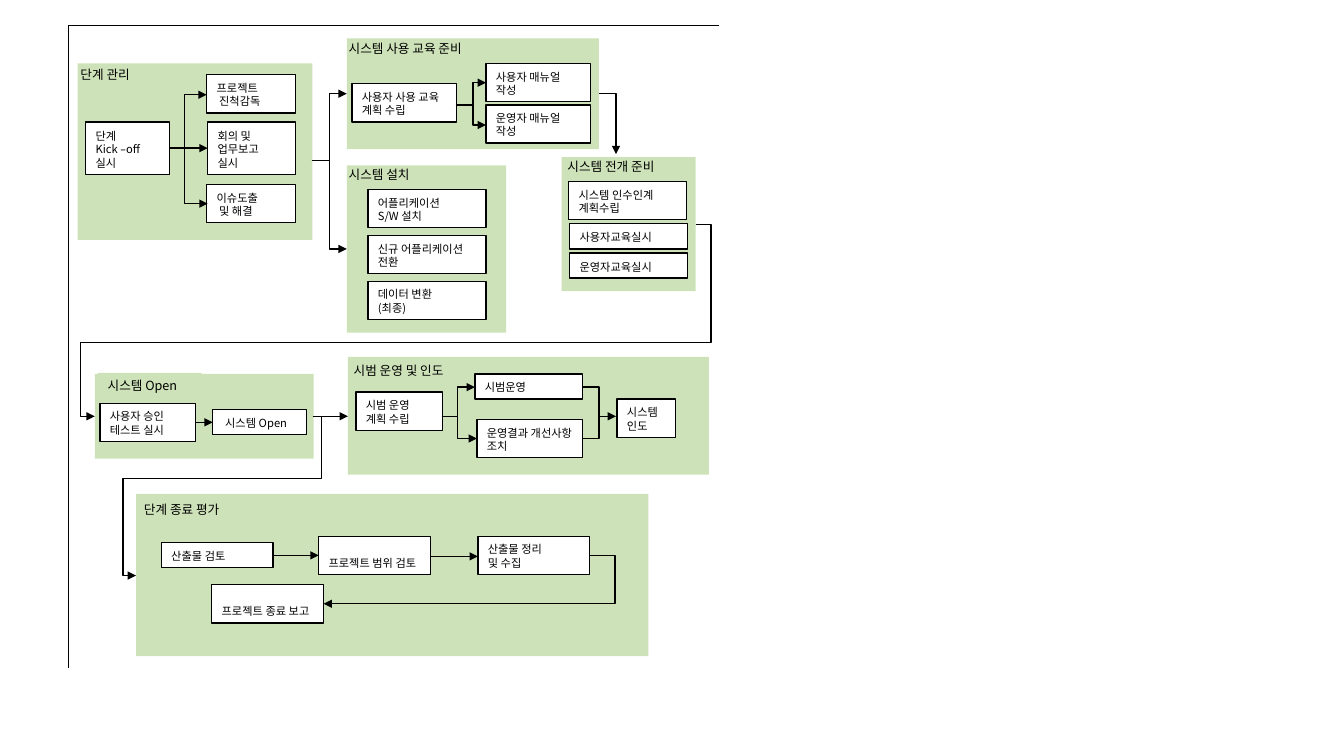
from dataclasses import dataclass
from typing import NamedTuple

from lxml.etree import SubElement
from pptx import Presentation
from pptx.dml.color import RGBColor
from pptx.enum.shapes import MSO_CONNECTOR, MSO_SHAPE
from pptx.enum.text import MSO_ANCHOR, MSO_AUTO_SIZE, PP_ALIGN
from pptx.oxml.ns import qn
from pptx.slide import Slide
from pptx.text.text import TextFrame
from pptx.util import Inches, Pt


@dataclass(frozen=True)
class Theme:
    panel: RGBColor = RGBColor(0xCD, 0xE2, 0xB8)
    box: RGBColor = RGBColor(0xFF, 0xFF, 0xFF)
    ink: RGBColor = RGBColor(0x00, 0x00, 0x00)
    font: str = "Noto Sans CJK KR"
    dash_font: str = "DejaVu Sans"
    title_size: float = 9
    box_size: float = 8
    line_width: float = 1
    frame_width: float = 0.75


THEME = Theme()
DASH = "–"
ONE_LINE, TWO_LINES, THREE_LINES = 0.25, 0.38, 0.52


class Area(NamedTuple):
    left: float
    top: float
    width: float
    height: float


class Box(NamedTuple):
    text: str
    left: float
    top: float
    width: float
    height: float = TWO_LINES


class Panel(NamedTuple):
    area: Area
    title: Box
    boxes: list[Box]
    title_filled: bool = False


class Route(NamedTuple):
    points: list[tuple[float, float]]
    head: bool = False
    tail: bool = True
    width: float = THEME.line_width


# Panels with their step boxes
install_steps = ["어플리케이션\nS/W 설치", "신규 어플리케이션 전환", "데이터 변환\n(최종)"]
manuals = ["사용자 매뉴얼 작성", "운영자 매뉴얼 작성"]
trainings = ["사용자교육실시", "운영자교육실시"]

PANELS = [
    Panel(Area(3.44, 0.38, 2.5, 1.1),
          Box("시스템 사용 교육 준비", 3.36, 0.36, 1.49, ONE_LINE),
          [Box("사용자 사용 교육 계획 수립", 3.49, 0.83, 1.04)]
          + [Box(text, 4.82, 0.63 + 0.41 * row, 1.04) for row, text in enumerate(manuals)]),
    Panel(Area(3.44, 1.64, 1.58, 1.66),
          Box("시스템 설치", 3.36, 1.61, 0.87, ONE_LINE),
          [Box(text, 3.65, 1.88 + 0.455 * row, 1.17)
           for row, text in enumerate(install_steps)]),
    Panel(Area(0.94, 3.71, 2.17, 0.84),
          Box("시스템 Open", 0.97, 3.7, 1.03, ONE_LINE),
          [Box("사용자 승인 테스트 실시", 0.99, 4, 0.95),
           Box(" 시스템 Open", 2.11, 4.06, 0.93, ONE_LINE)],
          title_filled=True),
    Panel(Area(1.35, 4.9, 5.08, 1.61),
          Box("단계 종료 평가", 1.33, 4.93, 1.03, ONE_LINE),
          [Box("산출물 검토", 1.6, 5.38, 1.11, ONE_LINE),
           Box("프로젝트 범위 검토", 3.16, 5.32, 1.11),
           Box("프로젝트 종료 보고", 2.1, 5.8, 1.11),
           Box("산출물 정리\n및 수집", 4.74, 5.32, 1.11)]),
    Panel(Area(0.77, 0.63, 2.33, 1.75),
          Box("단계 관리", 0.7, 0.61, 0.74, ONE_LINE),
          [Box("단계\nKick –off 실시", 0.85, 1.21, 0.83, THREE_LINES),
           Box("프로젝트\n 진척감독", 2.05, 0.74, 0.88),
           Box("회의 및 업무보고\n실시", 2.06, 1.21, 0.87, THREE_LINES),
           Box("이슈도출\n 및 해결", 2.05, 1.83, 0.88)]),
    Panel(Area(5.57, 1.56, 1.33, 1.33),
          Box("시스템 전개 준비", 5.53, 1.53, 1.16, ONE_LINE),
          [Box("시스템 인수인계 계획수립", 5.64, 1.8, 1.17)]
          + [Box(text, 5.65, 2.22 + 0.29 * row, 1.17, ONE_LINE)
             for row, text in enumerate(trainings)]),
    Panel(Area(3.45, 3.54, 3.58, 1.17),
          Box("시범 운영 및 인도", 3.41, 3.55, 1.2, ONE_LINE),
          [Box("시범 운영 \v계획 수립", 3.53, 3.89, 0.86),
           Box("시범운영", 4.71, 3.71, 1.07, ONE_LINE),
           Box("시스템 인도", 6.12, 3.96, 0.58),
           Box("운영결과 개선사항 조치", 4.73, 4.16, 1.05)]),
]

# Page frame and flow lines
FRAME = Route([(0.68, 6.63), (0.68, 0.25), (7.13, 0.25)],
              tail=False, width=THEME.frame_width)
ROUTES = [
    Route([(2.05, 0.94), (1.83, 0.94), (1.83, 2.02), (2.06, 2.02)], head=True),
    Route([(1.69, 1.47), (2.06, 1.47)]),
    Route([(3.09, 1.59), (3.26, 1.59)], tail=False),
    Route([(3.44, 0.93), (3.27, 0.93), (3.27, 2.47), (3.44, 2.47)], head=True),
    Route([(4.52, 1.04), (4.69, 1.04)], tail=False),
    Route([(4.82, 0.82), (4.69, 0.82), (4.69, 1.24), (4.82, 1.24)], head=True),
    Route([(5.94, 0.93), (6.11, 0.93), (6.11, 1.53)]),
    Route([(6.9, 2.23), (7.05, 2.23), (7.05, 3.4), (0.8, 3.4), (0.8, 4.13), (0.94, 4.13)]),
    Route([(1.94, 4.19), (2.11, 4.19)]),
    Route([(3.1, 4.13), (3.45, 4.13)]),
    Route([(3.19, 4.13), (3.19, 4.75), (1.22, 4.75), (1.22, 5.71), (1.35, 5.71)]),
    Route([(4.38, 4.13), (4.54, 4.13)], tail=False),
    Route([(4.71, 3.84), (4.54, 3.84), (4.54, 4.35), (4.73, 4.35)], head=True),
    Route([(5.78, 3.84), (5.94, 3.84), (5.94, 4.35), (5.78, 4.35)], tail=False),
    Route([(5.94, 4.13), (6.11, 4.13)]),
    Route([(2.71, 5.51), (3.16, 5.51)]),
    Route([(4.27, 5.52), (4.74, 5.52)]),
    Route([(5.85, 5.51), (6.1, 5.51), (6.1, 5.99), (3.21, 5.99)]),
]


def write_text(text_frame: TextFrame, text: str, size: float, wrap: bool) -> None:
    text_frame.word_wrap = wrap
    text_frame.auto_size = MSO_AUTO_SIZE.SHAPE_TO_FIT_TEXT
    text_frame.vertical_anchor = MSO_ANCHOR.BOTTOM
    for index, line in enumerate(text.split("\n")):
        paragraph = text_frame.add_paragraph() if index else text_frame.paragraphs[0]
        before, dash, after = line.partition(DASH)
        paragraph.text = before
        if dash:
            paragraph.add_run().text = dash
            paragraph.add_run().text = after
        paragraph.alignment = PP_ALIGN.LEFT
        for run in paragraph.runs:
            font = run.font
            font.size = Pt(size)
            font.color.rgb = THEME.ink
            font.name = THEME.dash_font if run.text == DASH else THEME.font
            SubElement(font._element, qn("a:ea")).set("typeface", font.name)


def add_rectangle(slide: Slide, area: Area, fill: RGBColor, outlined: bool = False):
    shape = slide.shapes.add_shape(MSO_SHAPE.RECTANGLE, *map(Inches, area))
    shape.shadow.inherit = False
    shape.fill.solid()
    shape.fill.fore_color.rgb = fill
    if outlined:
        shape.line.color.rgb = THEME.ink
        shape.line.width = Pt(THEME.line_width)
    else:
        shape.line.fill.background()
    return shape


def add_panel(slide: Slide, panel: Panel) -> None:
    add_rectangle(slide, panel.area, THEME.panel)
    title_area = Area(*panel.title[1:])
    if panel.title_filled:
        title = add_rectangle(slide, title_area, THEME.panel)
    else:
        title = slide.shapes.add_textbox(*map(Inches, title_area))
    write_text(title.text_frame, panel.title.text, THEME.title_size, wrap=False)
    for box in panel.boxes:
        shape = add_rectangle(slide, Area(*box[1:]), THEME.box, outlined=True)
        write_text(shape.text_frame, box.text, THEME.box_size, wrap=True)


def add_route(slide: Slide, route: Route) -> None:
    points = [(Inches(x), Inches(y)) for x, y in route.points]
    if len(points) == 2:
        shape = slide.shapes.add_connector(MSO_CONNECTOR.STRAIGHT, *points[0], *points[1])
    else:
        builder = slide.shapes.build_freeform(*points[0])
        builder.add_line_segments(points[1:], close=False)
        shape = builder.convert_to_shape()
        shape.fill.background()
    shape.line.color.rgb = THEME.ink
    shape.line.width = Pt(route.width)
    line = shape.line._get_or_add_ln()
    for tag, shown in (("a:headEnd", route.head), ("a:tailEnd", route.tail)):
        if shown:
            SubElement(line, qn(tag)).set("type", "triangle")
    SubElement(shape._element.spPr, qn("a:effectLst"))


def main() -> None:
    presentation = Presentation()
    presentation.slide_width, presentation.slide_height = Inches(13.33), Inches(7.5)
    slide = presentation.slides.add_slide(presentation.slide_layouts[6])
    add_route(slide, FRAME)
    for panel in PANELS:
        add_panel(slide, panel)
    for route in ROUTES:
        add_route(slide, route)
    presentation.save("out.pptx")


if __name__ == "__main__":
    main()
